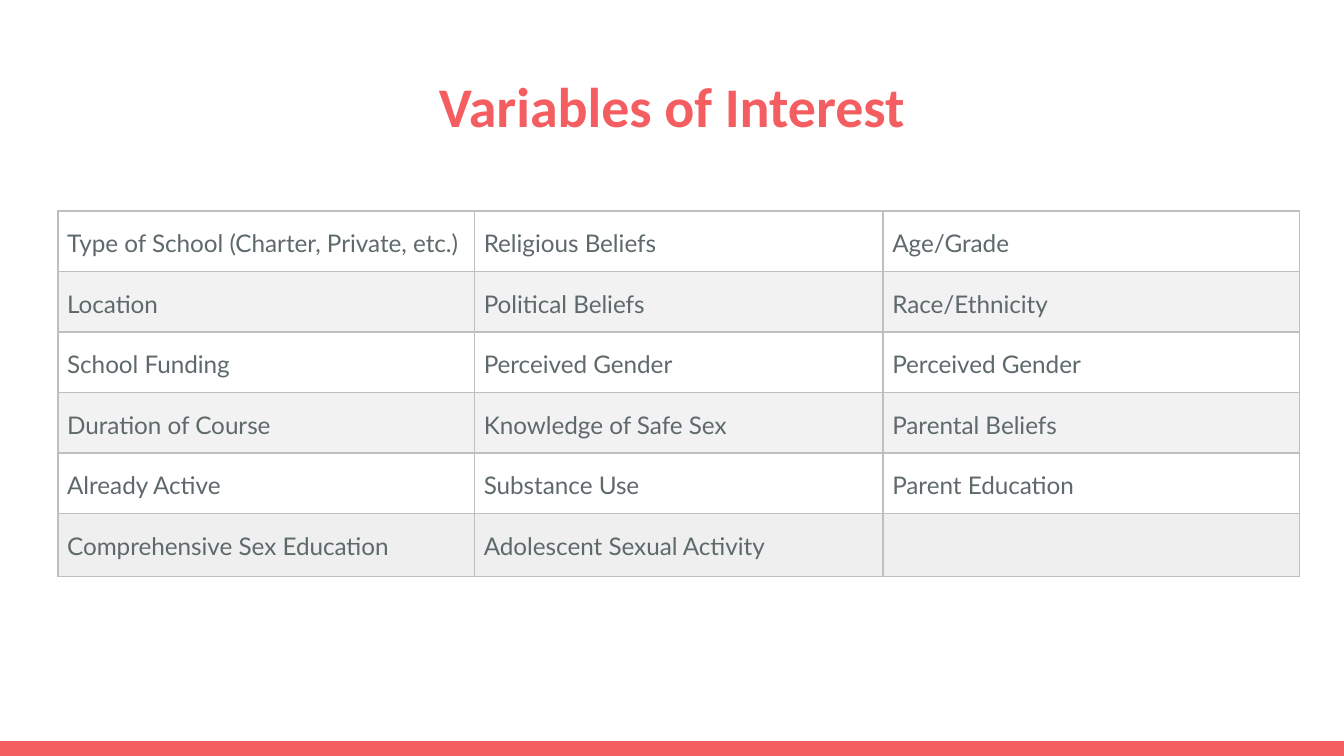
from lxml import etree
from pptx import Presentation
from pptx.dml.color import RGBColor
from pptx.enum.shapes import MSO_SHAPE
from pptx.enum.text import MSO_ANCHOR, MSO_AUTO_SIZE, PP_ALIGN
from pptx.oxml.ns import qn
from pptx.util import Inches, Pt

RECT = MSO_SHAPE.RECTANGLE
TOP = MSO_ANCHOR.TOP
CENTER = PP_ALIGN.CENTER
NO_FIT = MSO_AUTO_SIZE.NONE

CORAL = RGBColor(0xF5, 0x5E, 0x61)
SLATE = RGBColor(0x5E, 0x69, 0x6C)
WHITE = RGBColor(0xFF, 0xFF, 0xFF)
BAND = RGBColor(0xF2, 0xF2, 0xF2)
LAST_BAND = RGBColor(0xEF, 0xEF, 0xEF)
BORDER = RGBColor(0xBF, 0xBF, 0xBF)

TITLE_FONT = {"name": "Calibri", "size": Pt(30), "bold": True}
CELL_FONT = {"name": "Lato", "size": Pt(13), "bold": False}
MARGINS = {"margin_left": Inches(0.07), "margin_right": Inches(0.07),
           "margin_top": Inches(0.1), "margin_bottom": Inches(0.1)}

VARIABLES = [
    ("Type of School (Charter, Private, etc.)", "Religious Beliefs", "Age/Grade"),
    ("Location", "Political Beliefs", "Race/Ethnicity"),
    ("School Funding", "Perceived Gender", "Perceived Gender"),
    ("Duration of Course", "Knowledge of Safe Sex", "Parental Beliefs"),
    ("Already Active", "Substance Use", "Parent Education"),
    ("Comprehensive Sex Education", "Adolescent Sexual Activity", ""),
]
COL_WIDTHS = [3.1, 3.04, 3.1]
ROW_HEIGHTS = [0.45] * 5 + [0.47]
FILLS = [WHITE, BAND, WHITE, BAND, WHITE, LAST_BAND]


def add_text(p, text, font, color):
    r = p.add_run()
    r.text = text
    for name, value in font.items():
        setattr(r.font, name, value)
    r.font.color.rgb = color


def set_borders(cell):
    tc_pr = cell._tc.get_or_add_tcPr()
    for i, side in enumerate(("a:lnL", "a:lnR", "a:lnT", "a:lnB")):
        ln = etree.Element(qn(side), w=str(Pt(1)))
        fill = etree.SubElement(ln, qn("a:solidFill"))
        etree.SubElement(fill, qn("a:srgbClr"), val=str(BORDER))
        tc_pr.insert(i, ln)


prs = Presentation()
prs.slide_width = Inches(10)
prs.slide_height = prs.slide_width * 9 // 16
s = prs.slides.add_slide(prs.slide_layouts[5])

bar_height = Inches(0.11)
bar = s.shapes.add_shape(RECT, 0, prs.slide_height - bar_height,
                         prs.slide_width, bar_height)
bar.shadow.inherit = False
bar.fill.solid()
bar.fill.fore_color.rgb = CORAL
bar.line.fill.background()

title = s.shapes.title
title.left, title.top = Inches(0.34), Inches(0.43)
title.width, title.height = Inches(9.32), Inches(0.68)
tf = title.text_frame
tf.auto_size = NO_FIT
tf.vertical_anchor = TOP
for margin in MARGINS:
    setattr(tf, margin, Inches(0.1))
p = tf.paragraphs[0]
p.alignment = CENTER
add_text(p, "Variables of Interest", TITLE_FONT, CORAL)

table = s.shapes.add_table(len(VARIABLES), len(COL_WIDTHS),
                           Inches(0.43), Inches(1.57),
                           Inches(sum(COL_WIDTHS)), Inches(sum(ROW_HEIGHTS))).table
table.first_row = table.horz_banding = False
for col, width in zip(table.columns, COL_WIDTHS):
    col.width = Inches(width)

for row, height, fill, names in zip(table.rows, ROW_HEIGHTS, FILLS, VARIABLES):
    row.height = Inches(height)
    for cell, name in zip(row.cells, names):
        cell.fill.solid()
        cell.fill.fore_color.rgb = fill
        set_borders(cell)
        if name:
            for margin, value in MARGINS.items():
                setattr(cell, margin, value)
            p = cell.text_frame.paragraphs[0]
            p.line_spacing = 1.15
            add_text(p, name, CELL_FONT, SLATE)

prs.save("out.pptx")
